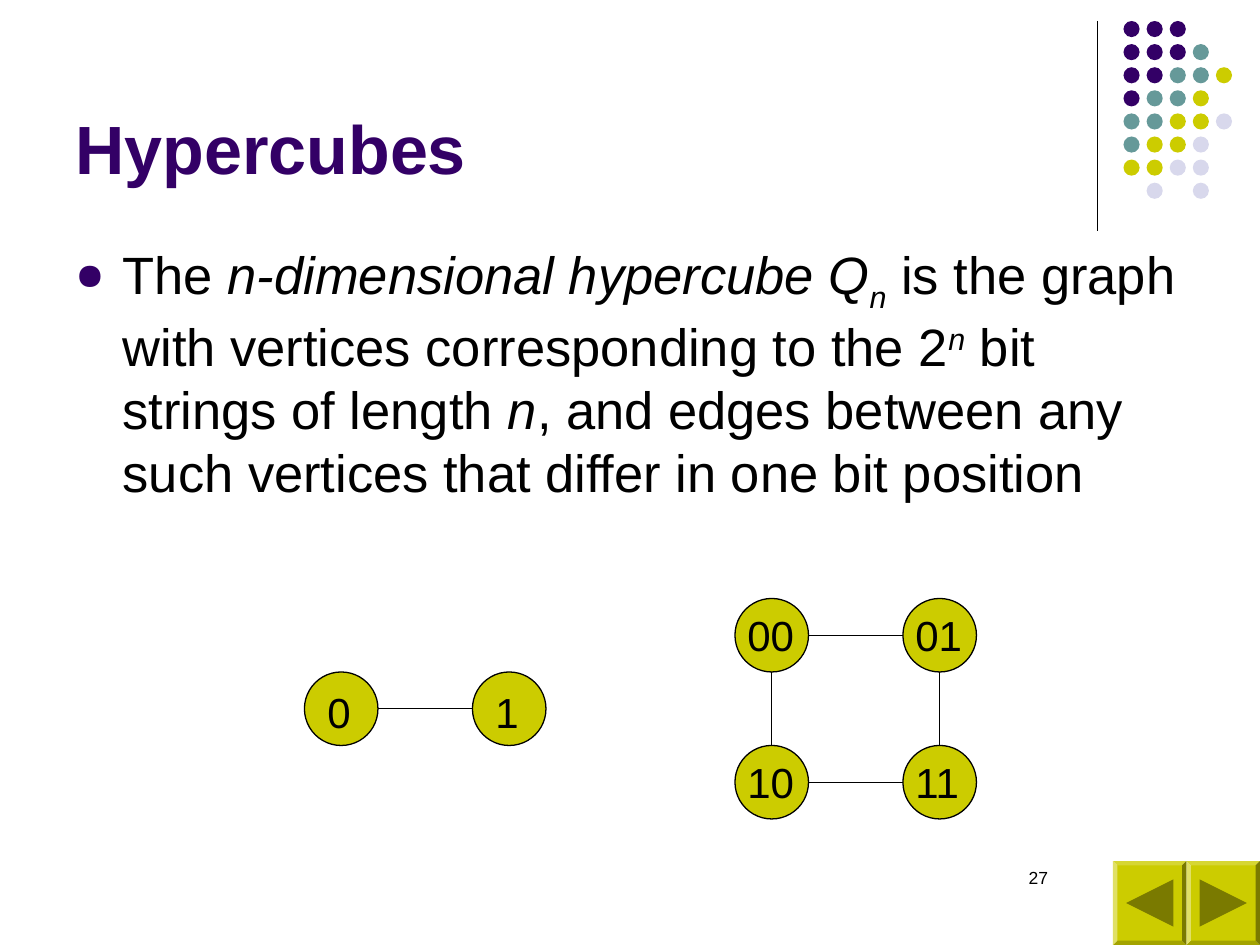
from itertools import product

from lxml.etree import SubElement
from pptx import Presentation
from pptx.dml.color import RGBColor
from pptx.enum.shapes import MSO_CONNECTOR, MSO_SHAPE
from pptx.enum.text import MSO_ANCHOR, PP_ALIGN
from pptx.oxml.ns import qn
from pptx.util import Pt

COLORS = {
    "purple": "330066",
    "teal": "669999",
    "olive": "CCCC00",
    "lavender": "D8D8EC",
    "arrow": "7A7A00",
    "black": "000000",
}
DOT_ROWS = ["PPP", "PPPT", "PPTTO", "PTTO", "TTOOL", "TOOL", "OOLL", " L L"]
DOT_COLORS = {"P": "purple", "T": "teal", "O": "olive", "L": "lavender"}
NODE = 42


class SlidePainter:
    """Holds the style and the current slide and draws each kind of element."""

    def __init__(self, page, font_name="Arial", line_width=0.75):
        self.page = page
        self.font_name = font_name
        self.line_width = line_width

    def color(self, name):
        return RGBColor.from_string(COLORS[name])

    def paint(self, shape, fill, outline=None):
        shape.shadow.inherit = False
        shape.fill.solid()
        shape.fill.fore_color.rgb = self.color(fill)
        if outline:
            shape.line.color.rgb = self.color(outline)
            shape.line.width = Pt(self.line_width)
        else:
            shape.line.fill.background()
        return shape

    def shape(self, kind, left, top, width, height, fill, outline=None):
        area = [Pt(value) for value in (left, top, width, height)]
        return self.paint(self.page.shapes.add_shape(kind, *area), fill, outline)

    def polygon(self, points, fill):
        corners = [(Pt(x), Pt(y)) for x, y in points]
        builder = self.page.shapes.build_freeform(*corners[0], scale=1.0)
        builder.add_line_segments(corners[1:], close=True)
        return self.paint(builder.convert_to_shape(), fill)

    def line(self, start, end):
        ends = [Pt(value) for value in (*start, *end)]
        connector = self.page.shapes.add_connector(MSO_CONNECTOR.STRAIGHT, *ends)
        connector.line.color.rgb = self.color("black")
        connector.line.width = Pt(self.line_width)
        SubElement(connector._element.spPr, qn("a:effectLst"))
        return connector

    def text(self, left, top, width, height, spans, size, color="black",
             anchor=MSO_ANCHOR.TOP, align=PP_ALIGN.LEFT):
        area = [Pt(value) for value in (left, top, width, height)]
        box = self.page.shapes.add_textbox(*area)
        frame = box.text_frame
        frame.word_wrap = True
        frame.vertical_anchor = anchor
        para = frame.paragraphs[0]
        para.alignment = align
        for words, style, baseline in spans:
            span = para.add_run()
            span.text = words
            for key, value in {"name": self.font_name, "size": Pt(size), **style}.items():
                setattr(span.font, key, value)
            span.font.color.rgb = self.color(color)
            if baseline:
                span.font._element.set("baseline", str(baseline * 1000))
        return para

    def bullet(self, para, indent, color, percent, mark):
        properties = para._p.get_or_add_pPr()
        properties.set("marL", str(Pt(indent)))
        properties.set("indent", str(-Pt(indent)))
        tint = SubElement(properties, qn("a:buClr"))
        SubElement(tint, qn("a:srgbClr"), val=COLORS[color])
        SubElement(properties, qn("a:buSzPct"), val=str(percent * 1000))
        SubElement(properties, qn("a:buChar"), char=mark)

    def node(self, label, left, top):
        self.shape(MSO_SHAPE.OVAL, left, top, NODE, NODE, "olive", "black")
        inset, drop = (6, 4.5) if len(label) == 1 else (0, 3)
        self.text(left + inset, top + drop, NODE - 2 * inset, 36, [(label, {}, 0)], 24)

    def button(self, left, top, direction):
        width, height = 42, 48
        bevel = self.shape(MSO_SHAPE.BEVEL, left, top, width, height, "olive")
        bevel.adjustments[0] = 0.06
        center, middle = left + width / 2, top + height / 2
        tip, base = center + 13.5 * direction, center - 13.5 * direction
        self.polygon([(tip, middle), (base, middle - 13.5), (base, middle + 13.5)], "arrow")


def draw_corner(painter):
    painter.line((627, 12), (627, 132))
    for row, codes in enumerate(DOT_ROWS):
        for column, code in enumerate(codes):
            if code in DOT_COLORS:
                painter.shape(MSO_SHAPE.OVAL, 642 + 13.2 * column, 12 + 13.2 * row,
                              9.2, 9.2, DOT_COLORS[code])
    painter.button(678, 492, 1)
    painter.button(636, 492, -1)


def draw_cubes(painter):
    half, step, drop = NODE / 2, 96, 84
    for bit in range(2):
        painter.node(str(bit), 174 + step * bit, 384)
    painter.line((174 + NODE, 384 + half), (174 + step, 384 + half))

    left, top = 420, 342
    for row, column in product(range(2), repeat=2):
        painter.node(f"{row}{column}", left + step * column, top + drop * row)
    for bit in range(2):
        y = top + drop * bit + half
        x = left + step * bit + half
        painter.line((left + NODE, y), (left + step, y))
        painter.line((x, top + NODE), (x, top + drop))


def main():
    deck = Presentation()
    deck.slide_width, deck.slide_height = Pt(720), Pt(540)
    painter = SlidePainter(deck.slides.add_slide(deck.slide_layouts[6]))

    draw_corner(painter)
    painter.text(516, 492, 90, 36, [("27", {}, 0)], 10, align=PP_ALIGN.RIGHT)
    painter.text(36, 9, 594, 102, [("Hypercubes", {"bold": True}, 0)], 39,
                 "purple", MSO_ANCHOR.BOTTOM)
    italic = {"italic": True}
    definition = [
        ("The ", {}, 0),
        ("n-dimensional hypercube Q", italic, 0),
        ("n", italic, -25),
        (" is the graph with vertices corresponding to the 2", {}, 0),
        ("n", italic, 30),
        (" bit strings of length ", {}, 0),
        ("n", italic, 0),
        (", and edges between any such vertices that differ in one bit position", {}, 0),
    ]
    para = painter.text(36, 135, 648, 347, definition, 30)
    painter.bullet(para, 27, "purple", 70, "●")
    draw_cubes(painter)
    deck.save("out.pptx")


if __name__ == "__main__":
    main()
